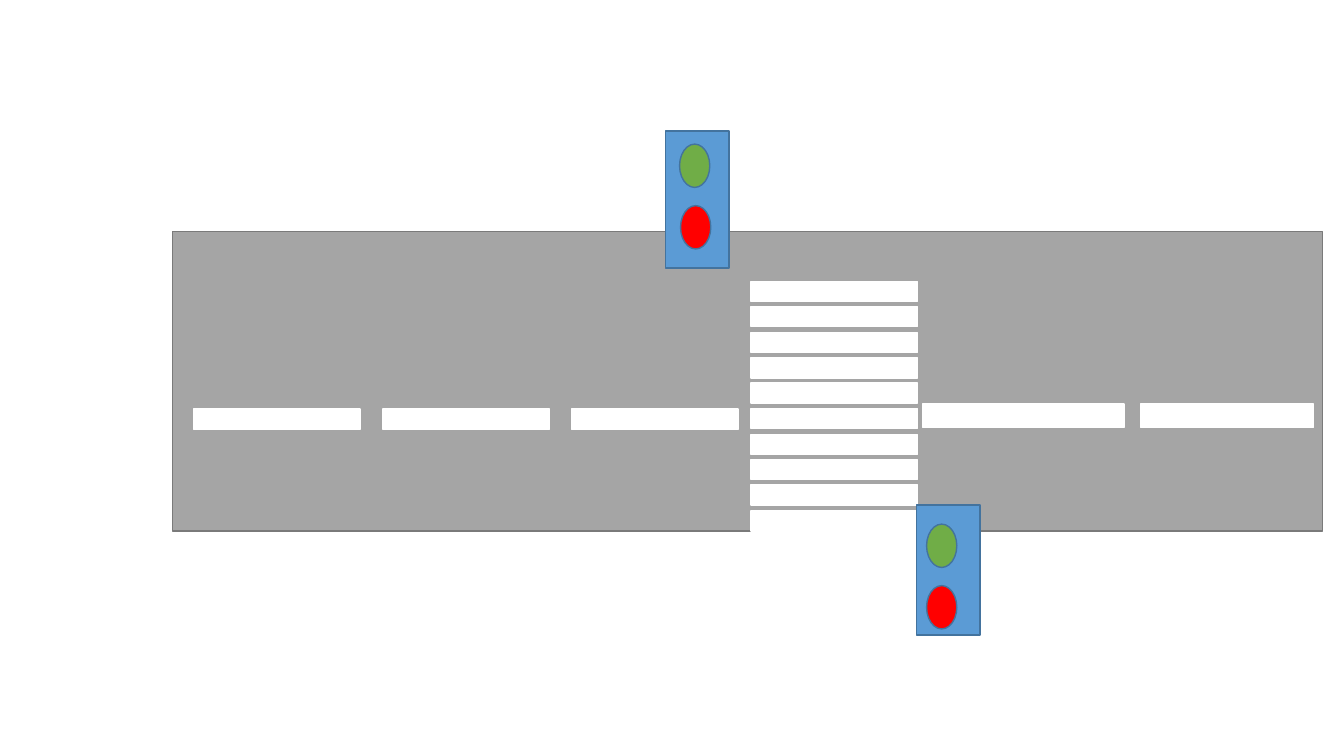
"""Build a slide of a road with a zebra crossing and two traffic lights."""
from pptx import Presentation
from pptx.dml.color import RGBColor
from pptx.enum.shapes import MSO_SHAPE as SHAPE
from pptx.util import Pt

PX = 9144
WHITE = RGBColor(0xFF, 0xFF, 0xFF)
ROAD = RGBColor(0xA5, 0xA5, 0xA5)
ROAD_EDGE = RGBColor(0x7A, 0x7A, 0x7A)
BLUE = RGBColor(0x5B, 0x9B, 0xD5)
BLUE_EDGE = RGBColor(0x43, 0x73, 0x9E)
GREEN = RGBColor(0x70, 0xAD, 0x47)
RED = RGBColor(0xFF, 0x00, 0x00)

prs = Presentation()
prs.slide_width, prs.slide_height = 1333 * PX, 750 * PX
s = prs.slides.add_slide(prs.slide_layouts[6])


def add_shape(kind, x, y, w, h, fill, edge):
    sp = s.shapes.add_shape(kind, x * PX, y * PX, w * PX, h * PX)
    sp.shadow.inherit = False
    sp.fill.solid()
    sp.fill.fore_color.rgb = fill
    sp.line.color.rgb = edge
    sp.line.width = Pt(1)


add_shape(SHAPE.RECTANGLE, 171, 230, 1141, 297, ROAD, ROAD_EDGE)

lane_marks = [(192, 406, 165, 20), (380, 406, 165, 20), (567, 406, 165, 20),
              (915, 401, 200, 23), (1131, 401, 172, 23)]
for x, y, w, h in lane_marks:
    add_shape(SHAPE.RECTANGLE, x, y, w, h, WHITE, WHITE)

for i in range(11):
    add_shape(SHAPE.RECTANGLE, 745, 279 + round(25.3 * i), 165, 20, WHITE, WHITE)

traffic_lights = [(660, 130, 136, (674, 143), (675, 204)),
                  (909, 501, 129, (919, 520), (919, 581))]
for x, y, h, green_at, red_at in traffic_lights:
    add_shape(SHAPE.RECTANGLE, x, y, 63, h, BLUE, BLUE_EDGE)
    for (lamp_x, lamp_y), color in ((green_at, GREEN), (red_at, RED)):
        add_shape(SHAPE.OVAL, lamp_x, lamp_y, 30, 43, color, BLUE_EDGE)

prs.save("out.pptx")
